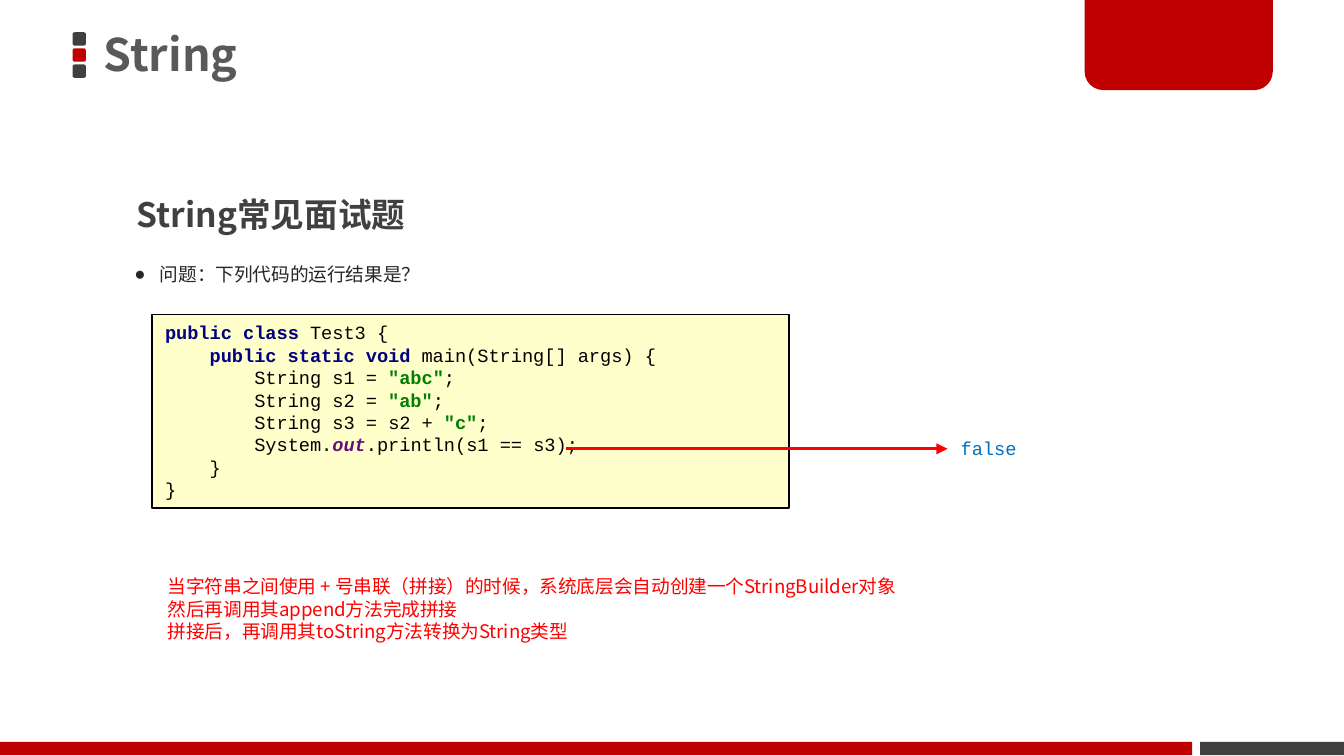
from lxml.etree import SubElement
from pptx import Presentation
from pptx.dml.color import RGBColor
from pptx.enum.shapes import MSO_CONNECTOR, MSO_SHAPE
from pptx.enum.text import MSO_ANCHOR, MSO_AUTO_SIZE, PP_ALIGN
from pptx.oxml.ns import qn
from pptx.util import Inches, Pt

SANS, MONO = "Noto Sans CJK SC", "Courier New"
RED, DARK = "C00000", "404040"
KEYWORD, LITERAL, FIELD, PLAIN = "000080", "008000", "660E7A", "000000"


def color(value):
    return RGBColor.from_string(value)


def write(shape, lines, size, name, hue, bold=False, spacing=1.0, inset=(0.1, 0.05)):
    frame = shape.text_frame
    frame.auto_size = MSO_AUTO_SIZE.NONE
    frame.word_wrap = True
    frame.margin_left = frame.margin_right = Inches(inset[0])
    frame.margin_top = frame.margin_bottom = Inches(inset[1])
    for index, line in enumerate(lines):
        paragraph = frame.add_paragraph() if index else frame.paragraphs[0]
        paragraph.alignment = PP_ALIGN.LEFT
        paragraph.line_spacing = spacing
        paragraph.space_before = Pt(0)
        for text, run_hue in [(line, hue)] if isinstance(line, str) else line:
            for row, piece in enumerate(text.split("\n")):
                if row:
                    paragraph.add_line_break()
                    SubElement(paragraph._p[-1], qn("a:rPr"), sz=str(size * 100))
                run = paragraph.add_run()
                run.text = piece
                if run_hue != hue:
                    run.font.color.rgb = color(run_hue)
                    run.font.bold = True
                    run.font.italic = True if run_hue == FIELD else None
        font = paragraph.font
        font.size, font.name, font.bold = Pt(size), name, bold
        font.color.rgb = color(hue)
        SubElement(paragraph._p.pPr.find(qn("a:defRPr")), qn("a:ea"), typeface=name)
    return frame


prs = Presentation()
prs.slide_width, prs.slide_height = Inches(10), Inches(10 * 9 / 16)
slide = prs.slides.add_slide(prs.slide_layouts[1])
shapes = slide.shapes

blocks = [
    (MSO_SHAPE.ROUNDED_RECTANGLE, 0.54, 0.24 + 0.12 * row, 0.1, 0.1, hue)
    for row, hue in enumerate([DARK, RED, DARK])
] + [
    (MSO_SHAPE.RECTANGLE, 8.93, 5.52, 1.07, 0.1, DARK),
    (MSO_SHAPE.ROUND_2_SAME_RECTANGLE, 8.07, -0.02, 1.4, 0.69, RED),
    (MSO_SHAPE.RECTANGLE, 0, 5.52, 8.87, 0.1, RED),
]
for preset, left, top, width, height, hue in blocks:
    block = shapes.add_shape(preset, Inches(left), Inches(top), Inches(width), Inches(height))
    block.shadow.inherit = False
    block.fill.solid()
    block.fill.fore_color.rgb = color(hue)
    block.line.fill.background()
    if preset == MSO_SHAPE.ROUND_2_SAME_RECTANGLE:
        block.rotation = 180
        block.adjustments[0] = 0.2

title = shapes.title
title.left, title.top, title.width, title.height = Inches(0.69), Inches(-0.02), Inches(5.89), Inches(0.89)
write(title, ["String"], 24, SANS, "595959", True, 0.9, (0.08, 0.04)).vertical_anchor = MSO_ANCHOR.MIDDLE

heading = shapes.add_textbox(Inches(0.92), Inches(1.24), Inches(3.84), Inches(0.55))
write(heading, ["String常见面试题"], 18, SANS, DARK, True, 1.5)

question = slide.placeholders[1]
question.left, question.top, question.width, question.height = Inches(0.9), Inches(1.82), Inches(7.39), Inches(0.35)
bullet = question.text_frame.paragraphs[0]._p.get_or_add_pPr()
bullet.set("marL", str(Inches(0.19)))
bullet.set("indent", str(Inches(-0.19)))
SubElement(SubElement(bullet, qn("a:buClr")), qn("a:srgbClr"), val="262626")
SubElement(bullet, qn("a:buChar"), char="●")
write(question, ["问题：下列代码的运行结果是？"], 10, SANS, "262626", spacing=1.5)

code = shapes.add_shape(MSO_SHAPE.RECTANGLE, Inches(1.13), Inches(2.34), Inches(4.74), Inches(1.44))
code.shadow.inherit = False
code.fill.solid()
code.fill.fore_color.rgb = color("FFFFCC")
code.line.color.rgb = color("000000")
code.line.width = Pt(1)
write(code, [[
    ("public class ", KEYWORD), ("Test3 {\n    ", PLAIN),
    ("public static void ", KEYWORD), ("main(String[] args) {\n        String s1 = ", PLAIN),
    ('"abc"', LITERAL), (";\n        String s2 = ", PLAIN),
    ('"ab"', LITERAL), (";\n        String s3 = s2 + ", PLAIN),
    ('"c"', LITERAL), (";\n        System.", PLAIN),
    ("out", FIELD), (".println(s1 == s3);\n    }\n}", PLAIN),
]], 10, MONO, PLAIN).vertical_anchor = MSO_ANCHOR.TOP

arrow = shapes.add_connector(MSO_CONNECTOR.STRAIGHT, Inches(4.21), Inches(3.34), Inches(7.05), Inches(3.34))
arrow.line.color.rgb = color("FF0000")
arrow.line.width = Pt(1.5)
SubElement(arrow.line._get_or_add_ln(), qn("a:tailEnd"), type="triangle")
SubElement(arrow._element.spPr, qn("a:effectLst"))

result = shapes.add_textbox(Inches(7.05), Inches(3.2), Inches(0.63), Inches(0.27))
write(result, ["false"], 10, MONO, "0070C0")

explanation = shapes.add_textbox(Inches(1.15), Inches(4.23), Inches(5.76), Inches(0.6))
write(explanation, [
    "当字符串之间使用 + 号串联（拼接）的时候，系统底层会自动创建一个StringBuilder对象",
    "然后再调用其append方法完成拼接",
    "拼接后，再调用其toString方法转换为String类型",
], 10, SANS, "FF0000").word_wrap = False

prs.save("out.pptx")
